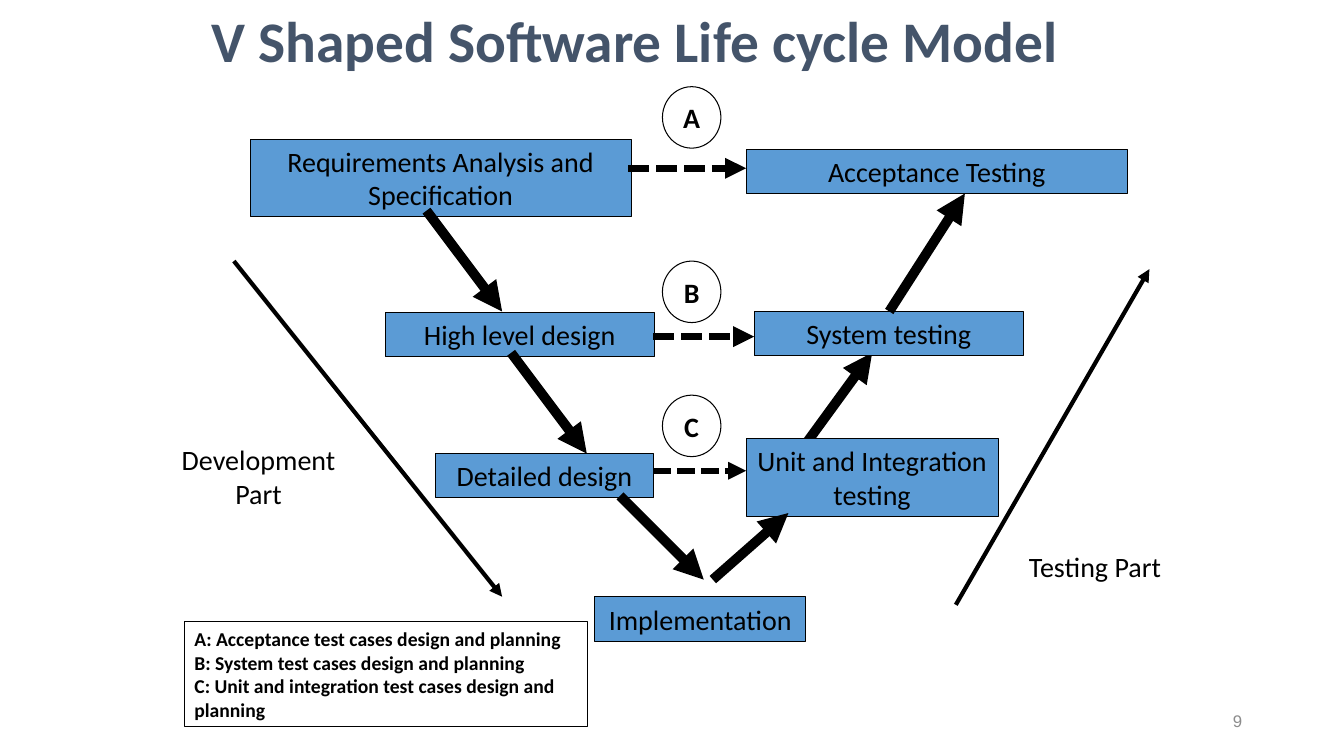
from lxml import etree
from pptx import Presentation
from pptx import util as u
from pptx.dml.color import RGBColor
from pptx.enum import dml, shapes, text
from pptx.oxml import ns

COLORS = {"title": "44546A", "stage": "5B9BD5", "ink": "000000",
          "paper": "FFFFFF", "number": "8C8C8C"}
TITLE = "V Shaped Software Life cycle Model"

# Stages: text, left, top, width, height
STAGES = [
    ("Requirements Analysis and Specification", 2.48, 1.38, 3.78, 0.77),
    ("Acceptance Testing", 7.4, 1.48, 3.78, 0.44),
    ("High level design", 3.82, 3.1, 2.67, 0.44),
    ("System testing", 7.48, 3.09, 2.67, 0.44),
    ("Detailed design", 4.32, 4.5, 2.16, 0.44),
    ("Unit and Integration testing", 7.4, 4.35, 2.5, 0.77),
    ("Implementation", 5.9, 5.92, 2.09, 0.44),
]
# Arrows: start x, start y, end x, end y
UNIT_TO_SYSTEM = (7.98, 4.42, 8.65, 3.5)
FLOW_ARROWS = [
    (4.23, 2.09, 4.98, 3.09),
    (5.07, 3.5, 5.82, 4.5),
    (6.15, 4.92, 6.98, 5.75),
    (7.07, 5.75, 7.82, 5.09),
    (8.82, 3.09, 9.57, 1.92),
]
SIDE_ARROWS = [(2.32, 2.59, 4.98, 5.92), (9.48, 6, 11.4, 2.67)]
# Test plans: letter, circle top, arrow left, arrow right, arrow y, line width
PLANS = [
    ("A", 0.86, 6.23, 7.4, 1.67, 5),
    ("B", 2.59, 6.48, 7.48, 3.34, 5),
    ("C", 3.92, 6.48, 7.4, 4.67, 4.25),
]
SIDE_LABELS = [
    ("Development Part", 1.65, 4.34, 1.83, 0.77),
    ("Testing Part", 10.07, 5.4, 1.58, 0.44),
]
LEGEND = [
    "A: Acceptance test cases design and planning",
    "B: System test cases design and planning",
    "C: Unit and integration test cases design and planning",
]


def rgb(name):
    """Look up a named colour."""
    return RGBColor.from_string(COLORS[name])


def place(box, left, top, width, height):
    """Move and size a shape, in inches."""
    box.left, box.top = u.Inches(left), u.Inches(top)
    box.width, box.height = u.Inches(width), u.Inches(height)


def write(box, lines, size=20, font="Calibri", color="ink", bold=False,
          align=text.PP_ALIGN.CENTER, anchor=text.MSO_ANCHOR.MIDDLE):
    """Write one formatted paragraph per line."""
    frame = box.text_frame
    frame.word_wrap = True
    frame.auto_size = text.MSO_AUTO_SIZE.NONE
    frame.vertical_anchor = anchor
    for index, line in enumerate(lines):
        para = frame.add_paragraph() if index else frame.paragraphs[0]
        para.alignment = align
        para.line_spacing = 1.0
        span = para.add_run()
        span.text = line
        span.font.size, span.font.name = u.Pt(size), font
        span.font.bold = bold
        span.font.color.rgb = rgb(color)


def add_box(page, lines, area, kind=shapes.MSO_SHAPE.RECTANGLE,
            fill="paper", line="ink", **style):
    """Add a filled, outlined shape with text."""
    box = page.shapes.add_shape(kind, *map(u.Inches, area))
    box.shadow.inherit = False
    box.fill.solid()
    box.fill.fore_color.rgb = rgb(fill)
    box.line.color.rgb = rgb(line)
    box.line.width = u.Pt(0.75)
    write(box, lines, **style)
    return box


def add_arrow(page, ends, width, dotted=False):
    """Add a straight arrow with a triangle at its end."""
    arrow = page.shapes.add_connector(
        shapes.MSO_CONNECTOR.STRAIGHT, *map(u.Inches, ends))
    arrow.line.color.rgb = rgb("ink")
    arrow.line.width = u.Pt(width)
    if dotted:
        arrow.line.dash_style = dml.MSO_LINE.SQUARE_DOT
    outline = arrow.line._get_or_add_ln()
    etree.SubElement(outline, ns.qn("a:tailEnd"), type="triangle")
    etree.SubElement(arrow._element.spPr, ns.qn("a:effectLst"))


deck = Presentation()
deck.slide_width, deck.slide_height = u.Inches(13.33), u.Inches(7.5)
page = deck.slides.add_slide(deck.slide_layouts[5])

place(page.shapes.title, 2, 0, 9.33, 0.79)
write(page.shapes.title, [TITLE], size=41, color="title", bold=True,
      align=text.PP_ALIGN.LEFT, anchor=text.MSO_ANCHOR.TOP)
number = page.shapes.add_textbox(*map(u.Inches, (9.42, 6.95, 3, 0.4)))
write(number, ["9"], size=12, font="Arial", color="number",
      align=text.PP_ALIGN.RIGHT)

add_arrow(page, UNIT_TO_SYSTEM, 7)  # runs behind the boxes
for label, *area in STAGES:
    add_box(page, [label], area, fill="stage")
for ends in FLOW_ARROWS:
    add_arrow(page, ends, 7)

for letter, top, left, right, level, width in PLANS:
    add_arrow(page, (left, level, right, level), width, dotted=True)
    circle = add_box(page, [letter], (6.57, top, 0.58, 0.61),
                     kind=shapes.MSO_SHAPE.OVAL, bold=True)
    circle.text_frame.margin_left = circle.text_frame.margin_right = 0

for ends in SIDE_ARROWS:
    add_arrow(page, ends, 3)
for label, *area in SIDE_LABELS:
    add_box(page, [label], area, line="paper")
add_box(page, LEGEND, (1.83, 6.17, 4, 1.04), size=14, bold=True,
        align=text.PP_ALIGN.LEFT, anchor=text.MSO_ANCHOR.TOP)

deck.save("out.pptx")
